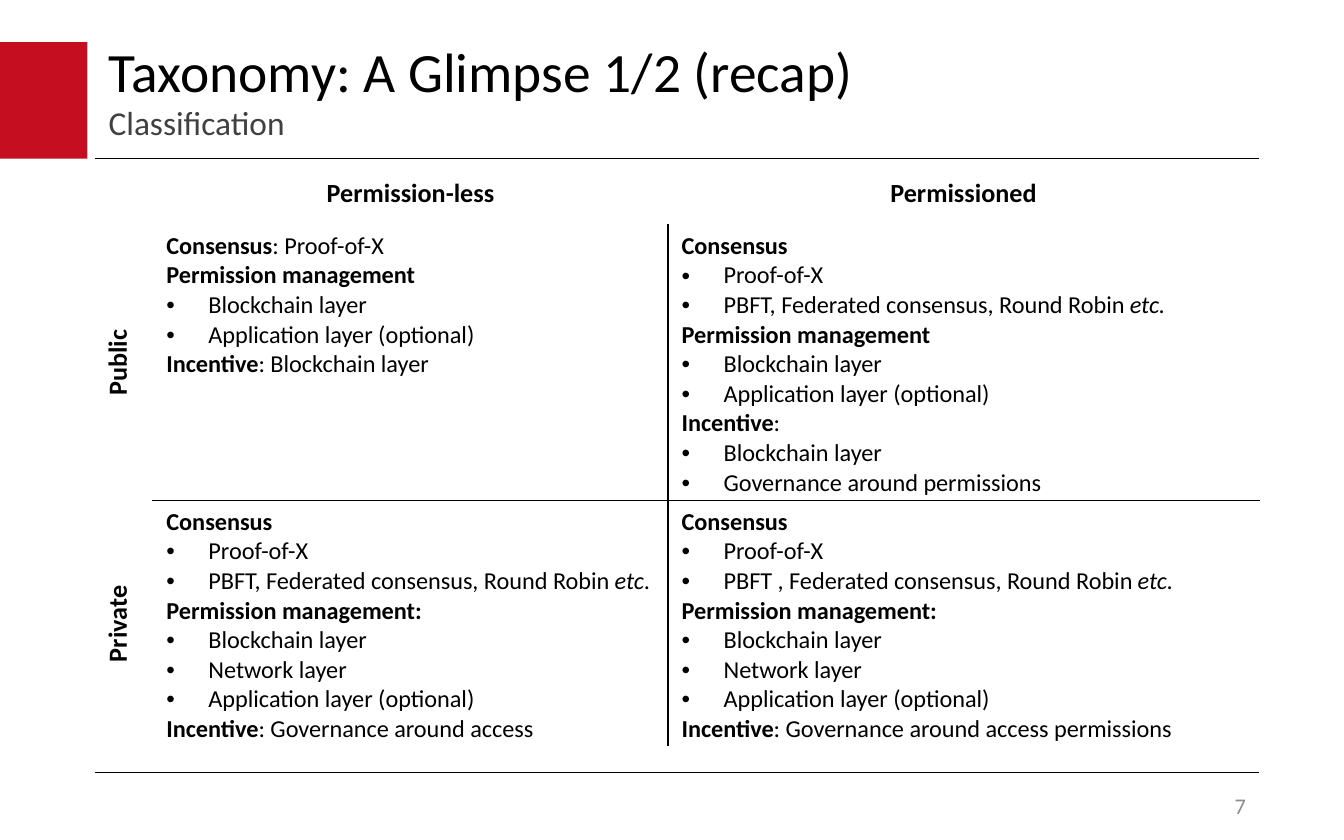
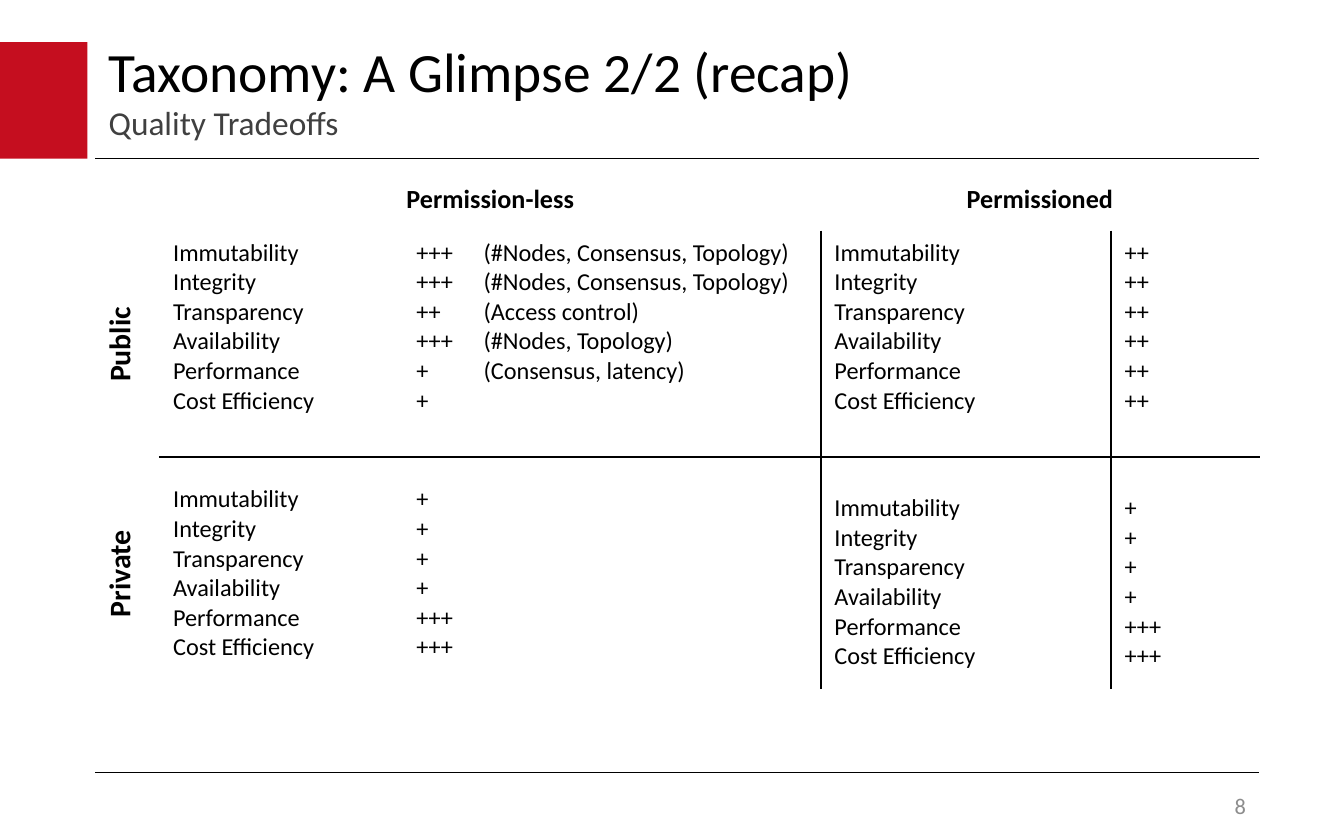
"""Build two slides that recap a blockchain taxonomy."""
from lxml.etree import SubElement
from pptx import Presentation
from pptx.dml.color import RGBColor
from pptx.enum.shapes import MSO_CONNECTOR as Conn, MSO_SHAPE as Shape
from pptx.enum.text import MSO_ANCHOR as Anchor, MSO_AUTO_SIZE as Fit, PP_ALIGN as Align
from pptx.oxml.ns import qn
from pptx.util import Pt

BLACK = RGBColor(0x00, 0x00, 0x00)
RED = RGBColor(0xC5, 0x0E, 0x1F)
DARK = RGBColor(0x40, 0x40, 0x40)
GREY = RGBColor(0x8C, 0x8C, 0x8C)
FONT = "Calibri"
LEFT, RIGHT = 51, 674.5
RULES = (85, 414)
HEAD, BODY = 14, 13
INDENT = 22.5
TAB = 23


def head(bold, plain=""):
    return False, [(bold, "b"), (plain, "")]


def item(text, italic="", tail=""):
    return True, [(text, ""), (italic, "i"), (tail, "")]


def lines(*texts):
    return [(False, [(text, "")]) for text in texts]


LAYERS = [item("Blockchain layer"), item("Application layer (optional)")]
ALL_LAYERS = [LAYERS[0], item("Network layer"), LAYERS[1]]
QUALITIES = lines("Immutability", "Integrity", "Transparency",
                  "Availability", "Performance", "Cost Efficiency")
PRIVATE_MARKS = lines("+", "+", "+", "+", "+++", "+++")
FEDERATED = "Federated consensus, Round Robin "

SLIDES = [
    {
        "number": "7",
        "title": "Taxonomy: A Glimpse 1/2 (recap)",
        "subtitle": "Classification",
        "top": 91.5,
        "cols": (31, 276, 316.5),
        "rows": (21.6, 147.6, 131.8),
        "spans": ((1, 1), (2, 2)),
        "dividers": (1,),
        "label_size": 14,
        "cells": [
            [
                [head("Consensus", ": Proof-of-X"),
                 head("Permission management"), *LAYERS,
                 head("Incentive", ": Blockchain layer")],
                [head("Consensus"), item("Proof-of-X"),
                 item("PBFT, " + FEDERATED, "etc."),
                 head("Permission management"), *LAYERS,
                 head("Incentive", ":"), LAYERS[0],
                 item("Governance around permissions")],
            ],
            [
                [head("Consensus"), item("Proof-of-X"),
                 item("PBFT, " + FEDERATED, "etc", "."),
                 head("Permission management:"), *ALL_LAYERS,
                 head("Incentive", ": Governance around access")],
                [head("Consensus"), item("Proof-of-X"),
                 item("PBFT , " + FEDERATED, "etc."),
                 head("Permission management:"), *ALL_LAYERS,
                 head("Incentive", ": Governance around access permissions")],
            ],
        ],
        "middle": (),
        "lowered": (),
    },
    {
        "number": "8",
        "title": "Taxonomy: A Glimpse 2/2 (recap)",
        "subtitle": "Quality Tradeoffs",
        "top": 95,
        "cols": (34.6, 130.3, 224, 155.5, 79.1),
        "rows": (29, 121, 124.6),
        "spans": ((1, 2), (3, 4)),
        "dividers": (2, 3),
        "label_size": 16,
        "cells": [
            [
                QUALITIES,
                lines("+++\t(#Nodes, Consensus, Topology)",
                      "+++\t(#Nodes, Consensus, Topology)",
                      "++\t(Access control)",
                      "+++\t(#Nodes, Topology)",
                      "+\t(Consensus, latency)",
                      "+"),
                QUALITIES,
                lines(*["++"] * 6),
            ],
            [QUALITIES, PRIVATE_MARKS, QUALITIES, PRIVATE_MARKS],
        ],
        "middle": ((2, 1), (2, 2)),
        "lowered": ((2, 3), (2, 4)),
    },
]
COLUMN_HEADS = ("Permission-less", "Permissioned")
ROW_HEADS = ("Public", "Private")


def place(s, x, y, w, h):
    s.left, s.top, s.width, s.height = Pt(x), Pt(y), Pt(w), Pt(h)


def add_run(p, text, size, color=BLACK, style=""):
    r = p.add_run()
    r.text = text
    r.font.name, r.font.size = FONT, Pt(size)
    r.font.color.rgb = color
    r.font.bold, r.font.italic = "b" in style, "i" in style


def set_indent(p, bullet):
    pPr = p._p.get_or_add_pPr()
    indent = Pt(INDENT) if bullet else 0
    pPr.set("marL", str(indent))
    pPr.set("indent", str(-indent))
    if bullet:
        SubElement(pPr, qn("a:buFont")).set("typeface", "Arial")
        SubElement(pPr, qn("a:buChar")).set("char", "•")
    else:
        SubElement(pPr, qn("a:buNone"))
    return pPr


def fill_placeholder(s, box, text, size, color, spacing, anchor):
    place(s, *box)
    tf = s.text_frame
    tf.auto_size, tf.word_wrap, tf.vertical_anchor = Fit.NONE, True, anchor
    p = tf.paragraphs[0]
    p.alignment, p.line_spacing = Align.LEFT, spacing
    add_run(p, text, size, color)
    return p


def add_frame(slide, number):
    band = slide.shapes.add_shape(Shape.RECTANGLE, 0, Pt(22.5), Pt(46.8), Pt(62.5))
    band.shadow.inherit = False
    band.fill.solid()
    band.fill.fore_color.rgb = RED
    band.line.fill.background()
    for y in RULES:
        rule = slide.shapes.add_connector(Conn.STRAIGHT, Pt(LEFT), Pt(y), Pt(RIGHT), Pt(y))
        rule.line.color.rgb, rule.line.width = BLACK, Pt(0.75)
        SubElement(rule._element.spPr, qn("a:effectLst"))
    tf = slide.shapes.add_textbox(Pt(512.5), Pt(422.8), Pt(162), Pt(18)).text_frame
    tf.word_wrap, tf.vertical_anchor = True, Anchor.MIDDLE
    tf.paragraphs[0].alignment = Align.RIGHT
    add_run(tf.paragraphs[0], number, 12, GREY)


def add_titles(slide, title, subtitle):
    fill_placeholder(slide.shapes.title, (LEFT, 22.5, 522, 34.5), title,
                     29.7, BLACK, 0.9, Anchor.MIDDLE)
    p = fill_placeholder(slide.placeholders[1], (LEFT, 57, 522, 24), subtitle,
                         17.9, DARK, 0.7, Anchor.TOP)
    p.space_before = Pt(7.5)
    set_indent(p, False)


def draw_borders(cell, sides):
    tcPr = cell._tc.get_or_add_tcPr()
    for side in "LRTB":
        if side in sides:
            ln = SubElement(tcPr, qn("a:ln" + side), w=str(Pt(1)))
            color = SubElement(SubElement(ln, qn("a:solidFill")), qn("a:srgbClr"))
            color.set("val", str(BLACK))


def border_sides(row, col, dividers):
    if row == 0 or col == 0:
        return ""
    sides = "B" if row == 1 else "T"
    if col - 1 in dividers:
        sides += "L"
    if col in dividers:
        sides += "R"
    return sides


def write_heading(cell, text, size):
    p = cell.text_frame.paragraphs[0]
    p.alignment = Align.CENTER
    add_run(p, text, size, style="b")


def write_body(cell, paragraphs):
    tf = cell.text_frame
    for i, (bullet, runs) in enumerate(paragraphs):
        p = tf.add_paragraph() if i else tf.paragraphs[0]
        pPr = set_indent(p, bullet)
        if any("\t" in text for text, _ in runs):
            tabs = SubElement(pPr, qn("a:tabLst"))
            SubElement(tabs, qn("a:tab"), pos=str(Pt(TAB)), algn="l")
        for text, style in runs:
            if text:
                add_run(p, text, BODY, style=style)


def add_matrix(slide, data):
    cols, rows = data["cols"], data["rows"]
    table = slide.shapes.add_table(len(rows), len(cols), Pt(LEFT), Pt(data["top"]),
                                   Pt(sum(cols)), Pt(sum(rows))).table
    table.first_row = table.horz_banding = False
    for column, width in zip(table.columns, cols):
        column.width = Pt(width)
    for row, height in zip(table.rows, rows):
        row.height = Pt(height)
    for r in range(len(rows)):
        for c in range(len(cols)):
            cell = table.cell(r, c)
            draw_borders(cell, border_sides(r, c, data["dividers"]))
            cell.fill.background()
    for (first, last), text in zip(data["spans"], COLUMN_HEADS):
        if last > first:
            table.cell(0, first).merge(table.cell(0, last))
        write_heading(table.cell(0, first), text, HEAD)
    for r, (label, contents) in enumerate(zip(ROW_HEADS, data["cells"]), 1):
        cell = table.cell(r, 0)
        cell._tc.get_or_add_tcPr().set("vert", "vert270")
        write_heading(cell, label, data["label_size"])
        for c, paragraphs in enumerate(contents, 1):
            write_body(table.cell(r, c), paragraphs)
    for pos in data["middle"]:
        table.cell(*pos).vertical_anchor = Anchor.MIDDLE
    for pos in data["lowered"]:
        table.cell(*pos).margin_top = Pt(19.5)


def main():
    prs = Presentation()
    prs.slide_width, prs.slide_height = Pt(720), Pt(450)
    for data in SLIDES:
        slide = prs.slides.add_slide(prs.slide_layouts[1])
        add_frame(slide, data["number"])
        add_titles(slide, data["title"], data["subtitle"])
        add_matrix(slide, data)
    prs.save("out.pptx")


if __name__ == "__main__":
    main()
